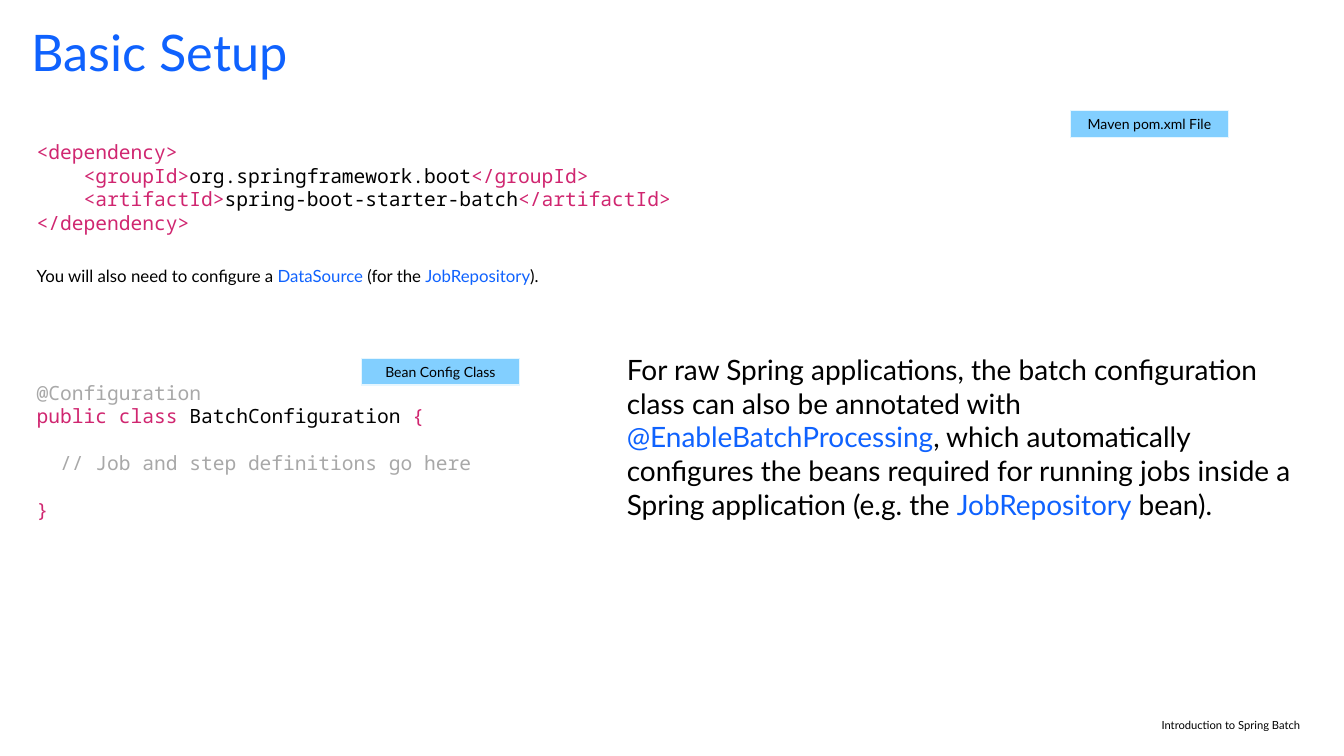
from dataclasses import dataclass
from typing import NamedTuple

from pptx import Presentation
from pptx.dml.color import RGBColor
from pptx.enum.shapes import MSO_SHAPE
from pptx.enum.text import MSO_ANCHOR, PP_ALIGN
from pptx.util import Emu, Pt

RECTANGLE = MSO_SHAPE.RECTANGLE
TOP, MIDDLE = MSO_ANCHOR.TOP, MSO_ANCHOR.MIDDLE
LEFT, CENTER, RIGHT = PP_ALIGN.LEFT, PP_ALIGN.CENTER, PP_ALIGN.RIGHT

EMU_PER_PX = 9144  # 100 px to the inch


@dataclass(frozen=True)
class Theme:
    sans: str = "Lato"
    mono: str = "Noto Sans Mono"
    ink: str = "000000"
    accent: str = "0F62FE"
    keyword: str = "D02670"
    muted: str = "A8A8A8"
    label_fill: str = "82CFFF"
    label_line: str = "E5F6FF"
    title_size: int = 72
    body_size: int = 40
    code_size: int = 28
    note_size: int = 24
    label_size: int = 20
    footer_size: int = 16
    code_pitch: float = 33.6
    code_char: float = 16.8


THEME = Theme()


class Box(NamedTuple):
    left: int
    top: int
    width: int
    height: int


class Run(NamedTuple):
    text: str
    color: str = THEME.ink


class Line(NamedTuple):
    runs: list[Run]
    indent: int = 0  # characters
    blank_before: int = 0  # empty lines above


class Label(NamedTuple):
    text: str
    box: Box


def px(length: int) -> Emu:
    return Emu(length * EMU_PER_PX)


def emu_box(box: Box) -> list[Emu]:
    return [px(length) for length in box]


def write(frame, lines: list[Line], *, size: int, font: str = THEME.sans,
          align=LEFT, anchor=TOP, inset: tuple[int, int] = (10, 5),
          pitch: float | None = None) -> None:
    """Fill a text frame; inset is (horizontal, vertical) in px."""
    frame.word_wrap = True
    frame.vertical_anchor = anchor
    frame.margin_left = frame.margin_right = px(inset[0])
    frame.margin_top = frame.margin_bottom = px(inset[1])
    for index, line in enumerate(lines):
        paragraph = frame.add_paragraph() if index else frame.paragraphs[0]
        paragraph.alignment = align
        if pitch:
            paragraph.line_spacing = Pt(pitch)
            paragraph.space_before = Pt(pitch * line.blank_before)
        if line.indent:
            indent = Pt(line.indent * THEME.code_char)
            paragraph._p.get_or_add_pPr().set("marL", str(indent))
        for text, color in line.runs:
            run = paragraph.add_run()
            run.text = text
            run.font.size = Pt(size)
            run.font.name = font
            run.font.color.rgb = RGBColor.from_string(color)


def add_text(slide, box: Box, lines: list[Line], **text_format) -> None:
    write(slide.shapes.add_textbox(*emu_box(box)).text_frame, lines, **text_format)


def add_code(slide, box: Box, lines: list[Line]) -> None:
    add_text(slide, box, lines, size=THEME.code_size, font=THEME.mono,
             pitch=THEME.code_pitch)


def add_label(slide, label: Label) -> None:
    tag = slide.shapes.add_shape(RECTANGLE, *emu_box(label.box))
    tag.shadow.inherit = False
    tag.fill.solid()
    tag.fill.fore_color.rgb = RGBColor.from_string(THEME.label_fill)
    tag.line.color.rgb = RGBColor.from_string(THEME.label_line)
    tag.line.width = Pt(1.5)
    write(tag.text_frame, [Line([Run(label.text)])], size=THEME.label_size,
          align=CENTER, anchor=MIDDLE, inset=(10, 10))


def xml_element(tag: str, value: str) -> Line:
    return Line([Run(f"<{tag}>", THEME.keyword), Run(value),
                 Run(f"</{tag}>", THEME.keyword)], indent=4)


POM_CODE = [
    Line([Run("<dependency>", THEME.keyword)]),
    xml_element("groupId", "org.springframework.boot"),
    xml_element("artifactId", "spring-boot-starter-batch"),
    Line([Run("</dependency>", THEME.keyword)]),
]
CONFIG_CODE = [
    Line([Run("@Configuration", THEME.muted)]),
    Line([Run("public class ", THEME.keyword), Run("BatchConfiguration"),
          Run(" {", THEME.keyword)]),
    Line([Run("// Job and step definitions go here", THEME.muted)],
         indent=2, blank_before=1),
    Line([Run("}", THEME.keyword)], blank_before=1),
]
REPOSITORY = Run("JobRepository", THEME.accent)
DATA_SOURCE_NOTE = Line([
    Run("You will also need to configure a "), Run("DataSource", THEME.accent),
    Run(" (for the "), REPOSITORY, Run(")."),
])
RAW_SPRING_NOTE = Line([
    Run("For raw Spring applications, the batch configuration class can also "
        "be annotated with "),
    Run("@EnableBatchProcessing", THEME.accent),
    Run(", which automatically configures the beans required for running jobs "
        "inside a Spring application (e.g. the "),
    REPOSITORY, Run(" bean)."),
])
LABELS = [
    Label("Maven pom.xml File", Box(2124, 220, 314, 53)),
    Label("Bean Config Class", Box(717, 711, 314, 53)),
]


def main() -> None:
    deck = Presentation()
    deck.slide_width, deck.slide_height = px(2667), px(1500)
    slide = deck.slides.add_slide(deck.slide_layouts[6])

    add_text(slide, Box(63, 42, 1864, 500),
             [Line([Run("Basic Setup", THEME.accent)])],
             size=THEME.title_size, inset=(0, 0))
    add_text(slide, Box(2267, 1400, 323, 76),
             [Line([Run("Introduction to Spring Batch")])],
             size=THEME.footer_size, align=RIGHT, anchor=MIDDLE)
    add_code(slide, Box(63, 273, 2382, 199), POM_CODE)
    add_code(slide, Box(63, 750, 968, 293), CONFIG_CODE)
    for label in LABELS:
        add_label(slide, label)
    add_text(slide, Box(1234, 695, 1386, 347), [RAW_SPRING_NOTE],
             size=THEME.body_size)
    add_text(slide, Box(63, 523, 2205, 50), [DATA_SOURCE_NOTE],
             size=THEME.note_size)
    deck.save("out.pptx")


if __name__ == "__main__":
    main()
